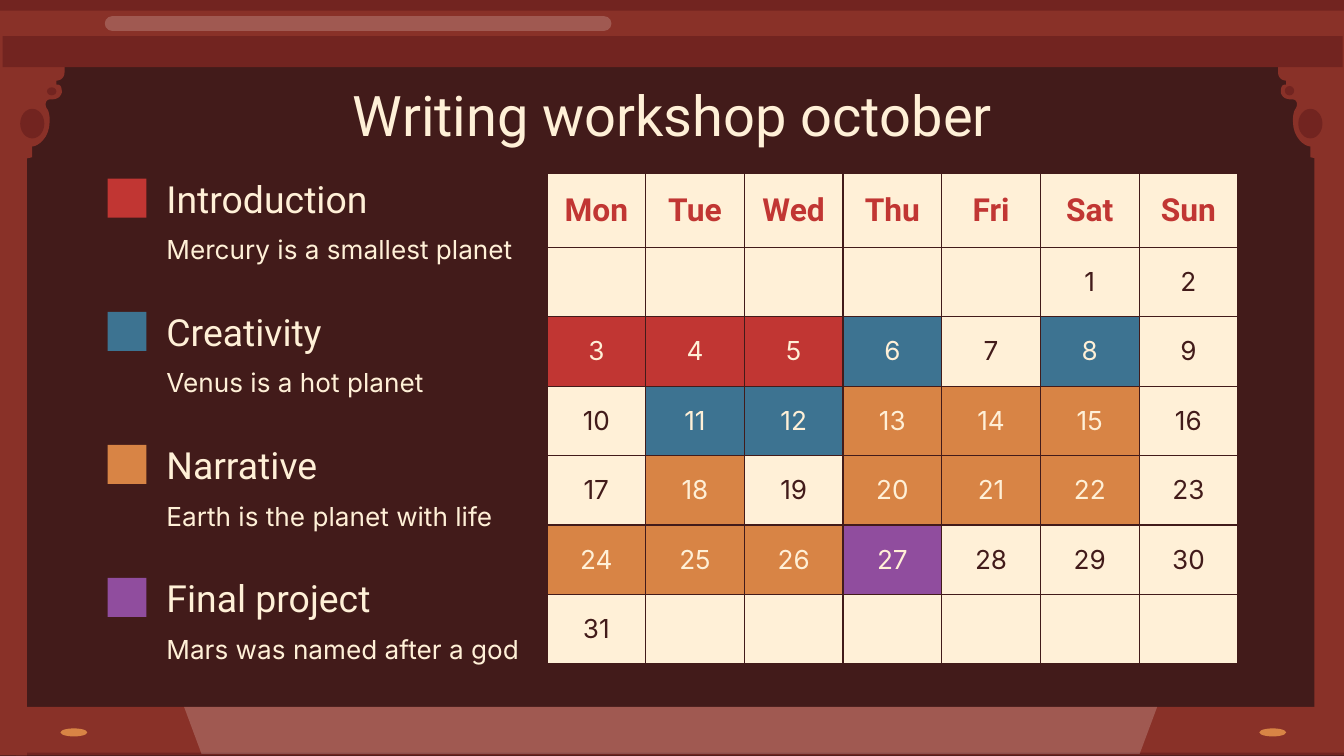
"""Builds a writing workshop calendar slide framed like a stage."""
from lxml.etree import SubElement
from pptx import Presentation
from pptx.dml.color import RGBColor
from pptx.enum.shapes import MSO_SHAPE as SHAPE
from pptx.enum.text import MSO_ANCHOR as ANCHOR, MSO_AUTO_SIZE as FIT, PP_ALIGN as ALIGN
from pptx.oxml.ns import qn
from pptx.util import Inches, Pt

COLORS = {
    "night": "421B1A", "wood": "893128", "shade": "722420", "cream": "FFF0D7",
    "glow": "FFFCF7", "red": "C13633", "blue": "3D7391", "orange": "D88445",
    "purple": "904D9E",
}
TITLE = "Writing workshop october"
WEEKDAYS = ["Mon", "Tue", "Wed", "Thu", "Fri", "Sat", "Sun"]
TOPICS = [
    ("Introduction", "Mercury is a smallest planet", "red", [3, 4, 5]),
    ("Creativity", "Venus is a hot planet", "blue", [6, 8, 11, 12]),
    ("Narrative", "Earth is the planet with life", "orange",
     [13, 14, 15, 18, 20, 21, 22, 24, 25, 26]),
    ("Final project", "Mars was named after a god", "purple", [27]),
]
FIRST_COL, LAST_DAY, WEEKS = 5, 31, 6

BARS = [
    (0.14, 5.26, 9.86, 0.35, "wood"), (0, 0.04, 10, 0.28, "wood"),
    (0, 0, 10, 0.08, "shade"), (0.12, 5.6, 9.88, 0.02, "shade"),
    (9.78, 0.27, 0.22, 5.05, "wood"), (0, 0.27, 0.2, 5.35, "wood"),
]
LINTEL = (0.02, 0.27, 9.97, 0.23, "shade")
OVALS = [
    (0.15, 0.81, 0.18, 0.22, "shade"), (9.66, 0.81, 0.18, 0.22, "shade"),
    (0.35, 0.65, 0.07, 0.06, "shade"), (9.56, 0.64, 0.07, 0.07, "shade"),
    (0.45, 5.42, 0.2, 0.06, "orange"), (9.37, 5.42, 0.2, 0.06, "orange"),
]
STAGE = [(1.37, 5.26), (1.5, 5.61), (8.48, 5.61), (8.61, 5.26)]
BRACKET = [
    (0.48, 0.49), (0, 0.49), (0, 1.43), (0.2, 1.43), (0.2, 1.37),
    (0.14, 1.37, 0.12, 1.17, 0.24, 1.17), (0.24, 1.09),
    (0.28, 1.09, 0.37, 1.03, 0.37, 0.9), (0.37, 0.85, 0.36, 0.82, 0.35, 0.81),
    (0.33, 0.78, 0.34, 0.74, 0.37, 0.74), (0.38, 0.74),
    (0.43, 0.74, 0.45, 0.72, 0.46, 0.69), (0.46, 0.67, 0.46, 0.63, 0.43, 0.63),
    (0.42, 0.63), (0.42, 0.6), (0.45, 0.6, 0.48, 0.58, 0.48, 0.54),
]


def rgb(name):
    return RGBColor.from_string(COLORS[name])


def paint(sp, color, alpha=None):
    sp.shadow.inherit = False
    sp.fill.solid()
    sp.fill.fore_color.rgb = rgb(color)
    sp.line.fill.background()
    if alpha:
        clr = sp._element.spPr.find(qn("a:solidFill"))[0]
        SubElement(clr, qn("a:alpha")).set("val", str(alpha * 1000))


def add_preset(s, kind, x, y, w, h, color, alpha=None):
    sp = s.shapes.add_shape(kind, Inches(x), Inches(y), Inches(w), Inches(h))
    paint(sp, color, alpha)
    return sp


def flatten(path, steps=8):
    points = [path[0]]
    for seg in path[1:]:
        if len(seg) == 2:
            points.append(seg)
            continue
        ctrl = [points[-1], seg[:2], seg[2:4], seg[4:]]
        for i in range(1, steps + 1):
            t = i / steps
            weights = ((1 - t) ** 3, 3 * t * (1 - t) ** 2, 3 * t * t * (1 - t), t ** 3)
            points.append(tuple(sum(k * c[axis] for k, c in zip(weights, ctrl))
                                for axis in (0, 1)))
    return points


def add_outline(s, points, color, alpha=None):
    pts = [(Inches(x), Inches(y)) for x, y in points]
    builder = s.shapes.build_freeform(*pts[0], scale=1.0)
    builder.add_line_segments(pts[1:], close=True)
    paint(builder.convert_to_shape(), color, alpha)


def write(tf, text, size, font, color, align=ALIGN.LEFT, bold=False):
    tf.text = text
    p = tf.paragraphs[0]
    p.alignment = align
    p.font.size = Pt(size)
    for r in p.runs:
        r.font.size, r.font.name, r.font.bold = Pt(size), font, bold
        r.font.color.rgb = rgb(color)


def place(sp, x, y, w, h, anchor):
    sp.left, sp.top, sp.width, sp.height = map(Inches, (x, y, w, h))
    tf = sp.text_frame
    tf.word_wrap, tf.auto_size, tf.vertical_anchor = True, FIT.NONE, anchor
    tf.margin_left = tf.margin_right = tf.margin_top = tf.margin_bottom = Inches(0.1)
    return tf


def add_frame(s):
    for bar in BARS:
        add_preset(s, SHAPE.RECTANGLE, *bar)
    add_outline(s, STAGE, "glow", 20)
    shine = add_preset(s, SHAPE.ROUNDED_RECTANGLE, 0.78, 0.12, 3.77, 0.11, "glow", 20)
    shine.adjustments[0] = 0.5
    left = flatten(BRACKET)
    add_outline(s, left, "wood")
    add_outline(s, [(9.99 - x, y) for x, y in left], "wood")
    for oval in OVALS:
        add_preset(s, SHAPE.OVAL, *oval)
    add_preset(s, SHAPE.RECTANGLE, *LINTEL)


def style_cell(cell, fill):
    tcPr = cell._tc.get_or_add_tcPr()
    for side in ("lnL", "lnR", "lnT", "lnB"):
        ln = SubElement(tcPr, qn("a:" + side), w=str(Pt(0.75)))
        solid = SubElement(ln, qn("a:solidFill"))
        SubElement(solid, qn("a:srgbClr"), val=COLORS["night"])
    cell.fill.solid()
    cell.fill.fore_color.rgb = rgb(fill)
    cell.vertical_anchor = ANCHOR.MIDDLE
    cell.margin_left = cell.margin_right = cell.margin_top = cell.margin_bottom = Inches(0.1)


def add_calendar(s):
    width, height, header = 5.14, 3.65, 0.55
    day_color = {day: color for _, _, color, days in TOPICS for day in days}
    table = s.shapes.add_table(WEEKS + 1, len(WEEKDAYS), Inches(4.07), Inches(1.29),
                               Inches(width), Inches(height)).table
    for col in table.columns:
        col.width = Inches(width / len(WEEKDAYS))
    for i, row in enumerate(table.rows):
        row.height = Inches((height - header) / WEEKS if i else header)
    for c, name in enumerate(WEEKDAYS):
        cell = table.cell(0, c)
        style_cell(cell, "cream")
        write(cell.text_frame, name, 17, "Roboto", "red", ALIGN.CENTER, True)
        for week in range(WEEKS):
            day = week * len(WEEKDAYS) + c - FIRST_COL + 1
            cell = table.cell(week + 1, c)
            style_cell(cell, day_color.get(day, "cream"))
            write(cell.text_frame, str(day) if 1 <= day <= LAST_DAY else "", 14, "Inter",
                  "cream" if day in day_color else "night", ALIGN.CENTER)


def add_legend(s):
    for i, (name, note, color, _) in enumerate(TOPICS):
        top = 1.25 + 0.99 * i
        for text, dy, size, font, anchor in ((name, 0, 20, "Roboto", ANCHOR.MIDDLE),
                                             (note, 0.39, 14, "Inter", ANCHOR.TOP)):
            box = s.shapes.add_textbox(0, 0, 0, 0)
            write(place(box, 1.14, top + dy, 2.87, 0.46, anchor), text, size, font, "cream")
        add_preset(s, SHAPE.RECTANGLE, 0.8, top + 0.08, 0.29, 0.29, color)


def main():
    prs = Presentation()
    prs.slide_width = Inches(10)
    prs.slide_height = prs.slide_width * 9 // 16
    s = prs.slides.add_slide(prs.slide_layouts[5])
    s.background.fill.solid()
    s.background.fill.fore_color.rgb = rgb("night")
    add_frame(s)
    tf = place(s.shapes.title, 0.79, 0.59, 8.43, 0.52, ANCHOR.MIDDLE)
    write(tf, TITLE, 30, "Roboto", "cream", ALIGN.CENTER)
    add_calendar(s)
    add_legend(s)
    prs.save("out.pptx")


if __name__ == "__main__":
    main()
